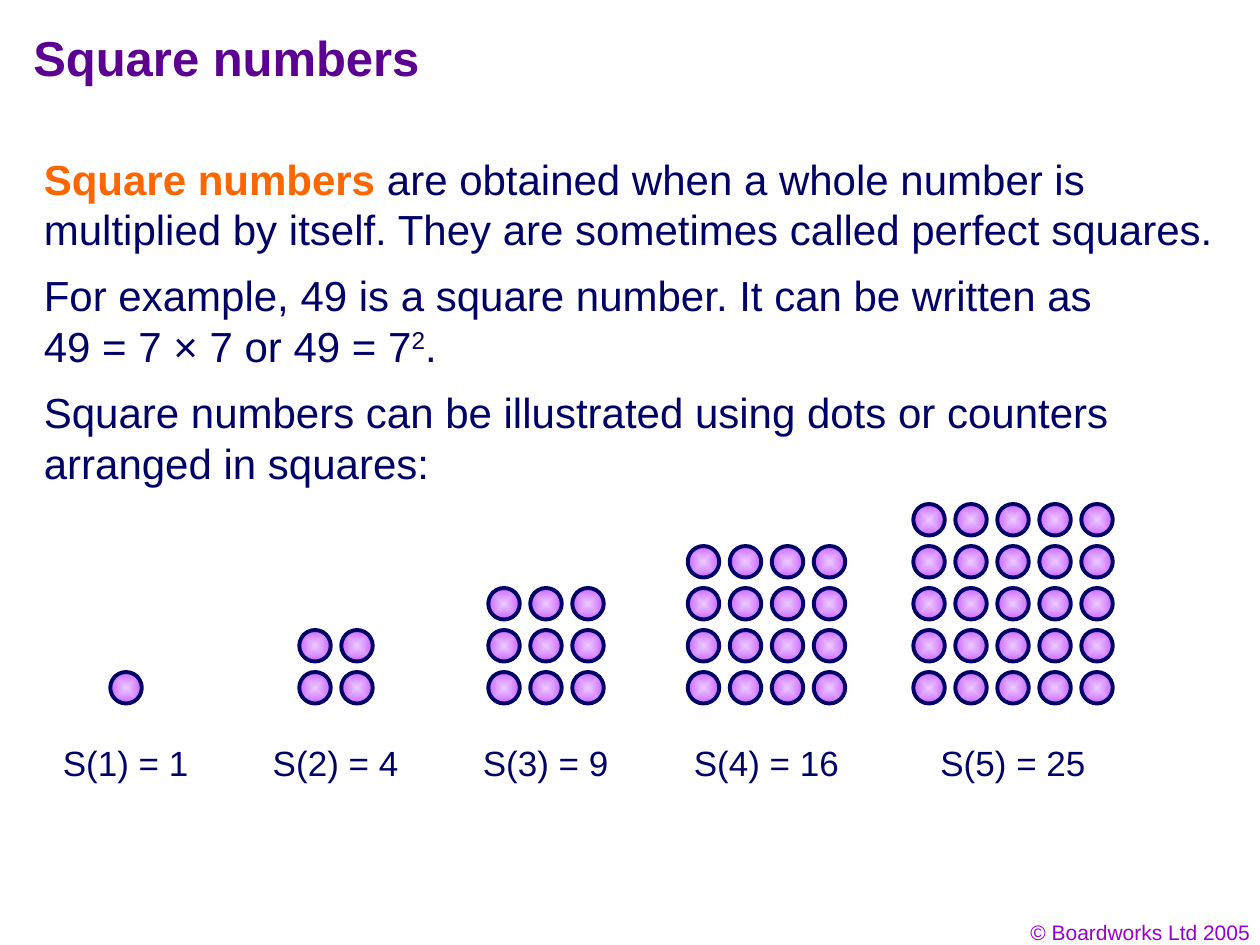
from dataclasses import dataclass

from lxml import etree
from pptx import Presentation
from pptx import util as u
from pptx.dml.color import RGBColor
from pptx.enum import shapes, text
from pptx.oxml import ns

# The page is a grid of 30 columns by 22.5 rows; one cell holds one counter.
CELL = u.Inches(10) // 30


@dataclass(frozen=True)
class Theme:
    font: str = "Arial"
    title: str = "5B0091"
    body: str = "010066"
    accent: str = "FF6600"
    footer: str = "9900CC"
    paper: str = "FFFFFF"
    dot_centre: str = "ECCAFE"
    dot_edge: str = "CC66FF"
    dot_line: str = "000066"
    title_size: int = 28
    body_size: int = 24
    label_size: int = 20
    footer_size: int = 12


THEME = Theme()


@dataclass(frozen=True)
class Span:
    words: str
    color: str | None = None
    bold: bool | None = None
    raised: bool = False


@dataclass(frozen=True)
class TextBlock:
    """A text box, measured in grid columns and rows."""
    col: float
    row: float
    cols: float
    rows: float
    spans: tuple[Span, ...]
    size: int = THEME.body_size
    color: str = THEME.body
    bold: bool = False
    wrap: bool = True
    align: text.PP_ALIGN = text.PP_ALIGN.LEFT
    fill: str | None = None


@dataclass(frozen=True)
class DotSquare:
    side: int
    centre: float  # column of the middle of the square
    label_cols: float


def grid(cells: float) -> u.Emu:
    return u.Emu(round(cells * CELL))


def draw_text(parent, block: TextBlock) -> None:
    box = parent.add_textbox(*map(grid, (block.col, block.row, block.cols, block.rows)))
    if block.fill:
        box.fill.solid()
        box.fill.fore_color.rgb = RGBColor.from_string(block.fill)
    frame = box.text_frame
    frame.word_wrap = block.wrap
    para = frame.paragraphs[0]
    para.alignment = block.align
    para.font.name = THEME.font
    para.font.size = u.Pt(block.size)
    para.font.bold = block.bold
    para.font.color.rgb = RGBColor.from_string(block.color)
    for part in block.spans:
        for index, line in enumerate(part.words.split("\n")):
            if index:
                para.add_line_break()
            span = para.add_run()
            span.text = line
            if part.color:
                span.font.color.rgb = RGBColor.from_string(part.color)
            if part.bold is not None:
                span.font.bold = part.bold
            if part.raised:
                span._r.get_or_add_rPr().set("baseline", "30000")


def glow(dot) -> None:
    """Fill a counter with a gradient running out from its middle."""
    dot.fill.background()
    empty = dot._element.spPr.find(ns.qn("a:noFill"))
    gradient = etree.fromstring(
        f'<a:gradFill {ns.nsdecls("a")} rotWithShape="1"><a:gsLst>'
        f'<a:gs pos="0"><a:srgbClr val="{THEME.dot_centre}"/></a:gs>'
        f'<a:gs pos="100000"><a:srgbClr val="{THEME.dot_edge}"/></a:gs>'
        '</a:gsLst><a:path path="rect">'
        '<a:fillToRect l="50000" t="50000" r="50000" b="50000"/>'
        '</a:path></a:gradFill>')
    empty.getparent().replace(empty, gradient)


def draw_dot_square(page, square: DotSquare) -> None:
    diameter, bottom_row, label_row = 0.75, 16, 17.5
    group = page.shapes.add_group_shape().shapes
    left = square.centre - (square.side - 1 + diameter) / 2
    for row in range(square.side):
        for col in range(square.side):
            dot = group.add_shape(
                shapes.MSO_SHAPE.OVAL, grid(left + col), grid(bottom_row - row),
                grid(diameter), grid(diameter))
            dot.shadow.inherit = False
            glow(dot)
            dot.line.color.rgb = RGBColor.from_string(THEME.dot_line)
            dot.line.width = u.Pt(2.25)
    label = Span(f"S({square.side}) = {square.side ** 2}")
    draw_text(group, TextBlock(
        square.centre - square.label_cols / 2, label_row, square.label_cols, 1.32,
        (label,), size=THEME.label_size, wrap=False))


TEXT_BLOCKS = (
    # Footer
    TextBlock(23.07, 21.75, 6.99, 0.9, (Span("© Boardworks Ltd 2005"),),
              size=THEME.footer_size, color=THEME.footer, align=text.PP_ALIGN.RIGHT),
    # Title
    TextBlock(0.5, 0.5, 19, 1.75, (Span("Square numbers"),),
              size=THEME.title_size, color=THEME.title, bold=True),
    # Explanation
    TextBlock(0.75, 3.5, 28.5, 2.7, (
        Span("Square numbers", THEME.accent, True),
        Span(" are obtained when a whole number is multiplied by itself. "
             "They are sometimes called perfect squares.")), fill=THEME.paper),
    TextBlock(0.75, 6.28, 25.62, 2.7, (
        Span("For example, 49 is a square number. It can be written as\n"
             "49 = 7 × 7 or 49 = 7"),
        Span("2", raised=True), Span(".")), wrap=False),
    TextBlock(0.75, 9.06, 27.25, 2.7, (
        Span("Square numbers can be illustrated using dots or counters "
             "arranged in squares:"),)),
)

DOT_SQUARES = (
    DotSquare(1, 3, 3.6),
    DotSquare(2, 8, 3.6),
    DotSquare(3, 13, 3.6),
    DotSquare(4, 18.25, 4.05),
    DotSquare(5, 24.12, 4.05),
)


def main() -> None:
    deck = Presentation()
    deck.slide_width, deck.slide_height = grid(30), grid(22.5)
    page = deck.slides.add_slide(deck.slide_layouts[6])
    page.background.fill.solid()
    page.background.fill.fore_color.rgb = RGBColor.from_string(THEME.paper)
    for block in TEXT_BLOCKS:
        draw_text(page.shapes, block)
    for square in DOT_SQUARES:
        draw_dot_square(page, square)
    deck.save("out.pptx")


if __name__ == "__main__":
    main()
